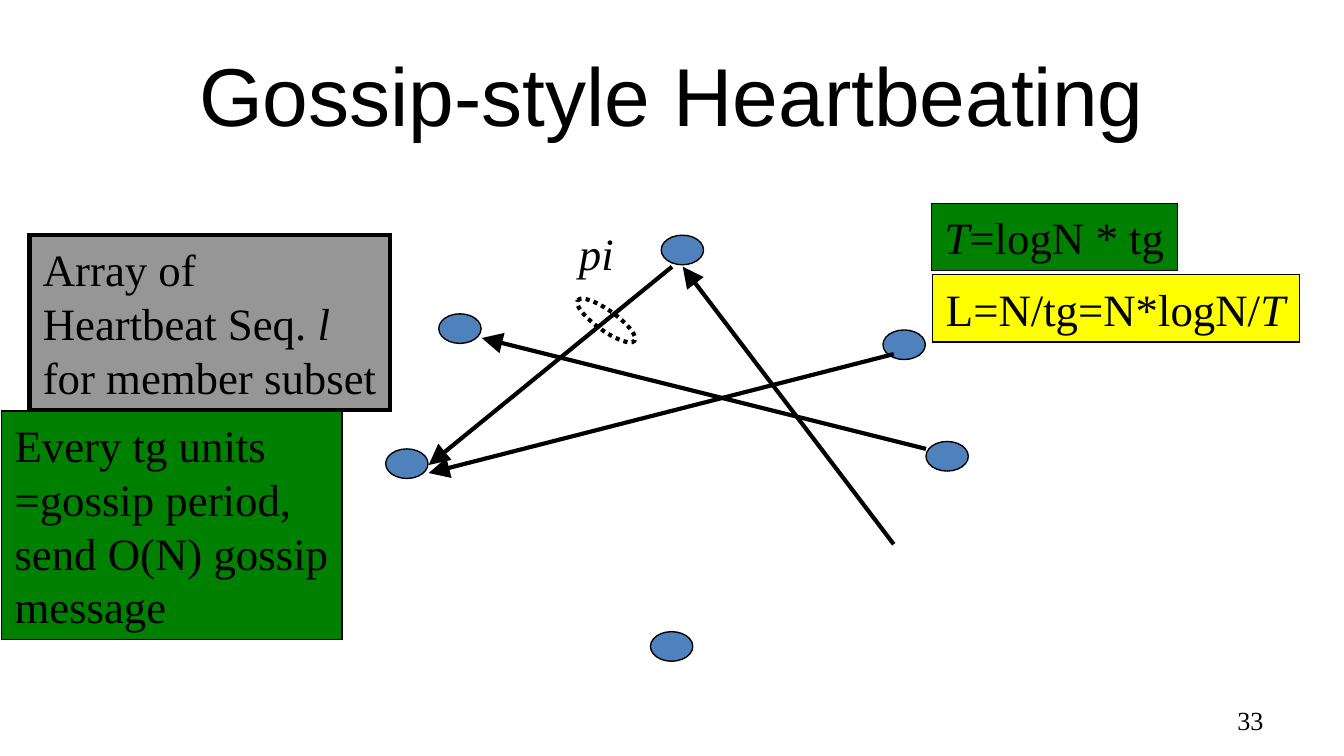
from lxml.etree import SubElement
from pptx import Presentation
from pptx.dml.color import RGBColor
from pptx.enum.dml import MSO_LINE
from pptx.enum.shapes import MSO_CONNECTOR, MSO_SHAPE
from pptx.enum.text import MSO_ANCHOR, MSO_AUTO_SIZE, PP_ALIGN
from pptx.oxml.ns import qn
from pptx.util import Emu, Pt

BLACK = RGBColor(0x00, 0x00, 0x00)
BLUE = RGBColor(0x4F, 0x81, 0xBD)
GRAY = RGBColor(0x96, 0x96, 0x96)
GREEN = RGBColor(0x00, 0x80, 0x00)
YELLOW = RGBColor(0xFF, 0xFF, 0x00)

SERIF, SANS = "Times New Roman", "Arial"
THIN, THICK = Pt(0.75), Pt(2.25)
NOTE_PITCH = Pt(28.8)
NODE_W, NODE_H = 63, 44

PROCESSES = [(1314, 491), (653, 467), (574, 668), (1378, 657), (984, 350), (968, 940)]
# Sender end, receiver end
GOSSIPS = [
    ((1000, 397), (638, 692)),
    ((1330, 527), (638, 704)),
    ((1378, 668), (717, 503)),
    ((1330, 810), (1016, 397)),
]
# Box, fill, outline width, lines of (text, italic) runs
NOTES = [
    ((44, 350, 536, 260), GRAY, THICK,
     [[("Array of", False)],
      [("Heartbeat Seq. ", False), ("l", True)],
      [("for member subset", False)]]),
    ((842, 326, 92, 100), None, None, [[("pi", True)]]),
    ((2, 612, 507, 340), GREEN, THIN,
     [[("Every tg units", False)],
      [("=gossip period,", False)],
      [("send O(N) gossip", False)],
      [("message", False)]]),
    ((1386, 303, 366, 100), GREEN, THIN, [[("T", True), ("=logN * tg", False)]]),
    ((1388, 409, 546, 100), YELLOW, THIN, [[("L=N/tg=N*logN/", False), ("T", True)]]),
]


def px(length):
    """200 px to the inch."""
    return Emu(length * 4572)


def style_font(font, name, size):
    font.name, font.size = name, Pt(size)
    font.color.rgb = BLACK


def add_label(slide, box, text, name, size, align):
    frame = slide.shapes.add_textbox(*map(px, box)).text_frame
    frame.word_wrap = True
    frame.vertical_anchor = MSO_ANCHOR.MIDDLE
    frame.text = text
    paragraph = frame.paragraphs[0]
    paragraph.alignment = align
    style_font(paragraph.runs[0].font, name, size)


def add_oval(slide, box, fill, width):
    oval = slide.shapes.add_shape(MSO_SHAPE.OVAL, *map(px, box))
    oval.shadow.inherit = False
    if fill is None:
        oval.fill.background()
    else:
        oval.fill.solid()
        oval.fill.fore_color.rgb = fill
    oval.line.color.rgb = BLACK
    oval.line.width = width
    return oval


def add_arrow(slide, sender, receiver):
    arrow = slide.shapes.add_connector(
        MSO_CONNECTOR.STRAIGHT, *map(px, sender + receiver))
    arrow.line.color.rgb = BLACK
    arrow.line.width = THICK
    SubElement(arrow.line._get_or_add_ln(), qn("a:tailEnd"),
               type="triangle", w="lg", len="lg")
    SubElement(arrow._element.spPr, qn("a:effectLst"))


def add_note(slide, box, fill, width, lines):
    note = slide.shapes.add_textbox(*map(px, box))
    if fill is not None:
        note.fill.solid()
        note.fill.fore_color.rgb = fill
        note.line.color.rgb = BLACK
        note.line.width = width
        SubElement(note.line._get_or_add_ln(), qn("a:miter"), lim="800000")
    frame = note.text_frame
    frame.word_wrap = False
    frame.auto_size = MSO_AUTO_SIZE.SHAPE_TO_FIT_TEXT
    for index, line in enumerate(lines):
        paragraph = frame.add_paragraph() if index else frame.paragraphs[0]
        paragraph.alignment = PP_ALIGN.LEFT
        paragraph.line_spacing = NOTE_PITCH
        for text, italic in line:
            run = paragraph.add_run()
            run.text = text
            style_font(run.font, SERIF, 24)
            run.font.italic = italic


def main():
    prs = Presentation()
    prs.slide_width, prs.slide_height = px(2000), px(1125)
    slide = prs.slides.add_slide(prs.slide_layouts[6])

    add_label(slide, (1434, 1042, 466, 60), "33", SERIF, 14, PP_ALIGN.RIGHT)
    add_label(slide, (100, 46, 1800, 188), "Gossip-style Heartbeating",
              SANS, 44, PP_ALIGN.CENTER)
    for left, top in PROCESSES:
        add_oval(slide, (left, top, NODE_W, NODE_H), BLUE, THIN)
    for sender, receiver in GOSSIPS:
        add_arrow(slide, sender, receiver)
    for note in NOTES:
        add_note(slide, *note)

    message_ring = add_oval(slide, (850, 462, 104, 30), None, THICK)
    message_ring.rotation = 35.5
    message_ring.line.dash_style = MSO_LINE.ROUND_DOT

    prs.save("out.pptx")


if __name__ == "__main__":
    main()
